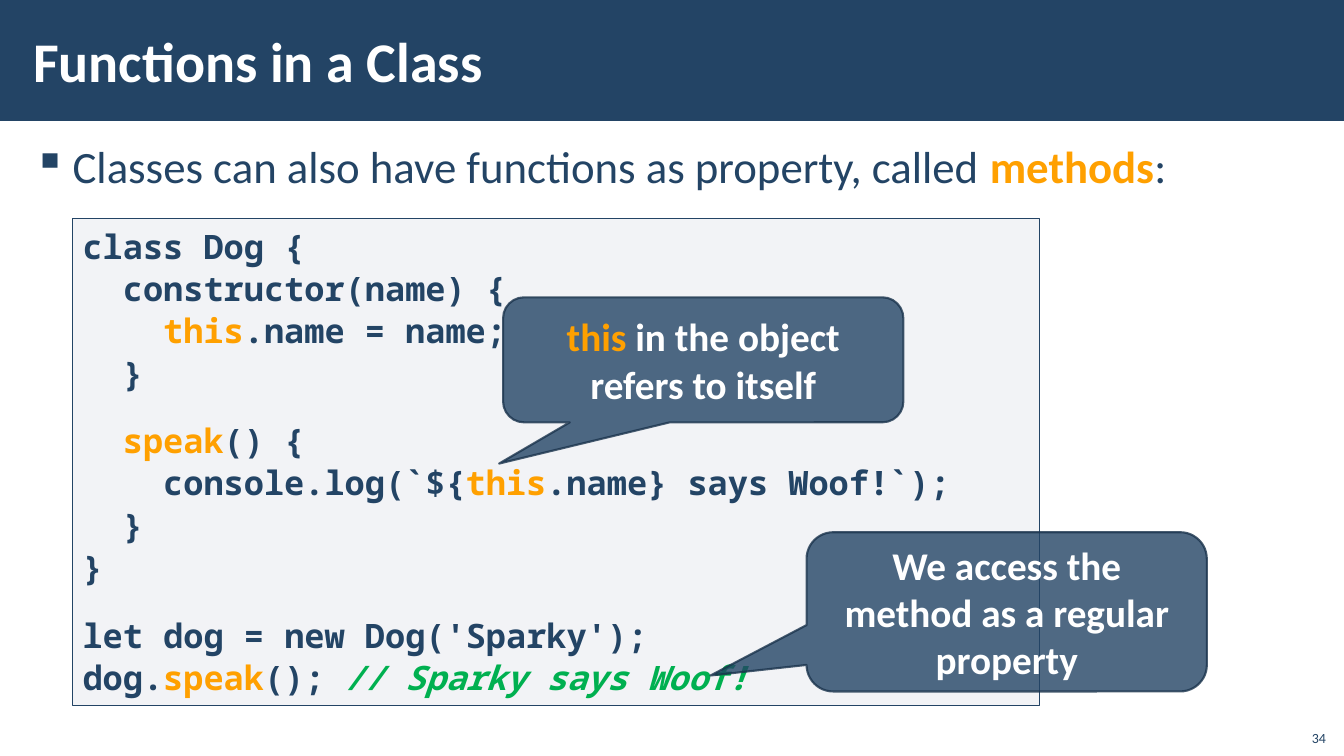
from lxml.etree import SubElement
from pptx import Presentation
from pptx.dml.color import RGBColor
from pptx.enum.shapes import MSO_SHAPE
from pptx.enum.text import MSO_ANCHOR, PP_ALIGN
from pptx.oxml.ns import qn
from pptx.util import Inches, Pt

COLORS = {
    "navy": "234465",
    "edge": "1A334C",
    "orange": "FFA000",
    "green": "00B050",
    "code": "ADB4C3",
    "white": "FFFFFF",
}
BODY_FONT, CODE_FONT = "Calibri", "Noto Sans Mono"
INDENT_STEP = 0.4  # two monospaced characters at 24 pt

# Code lines: indent level, space before, (text, color) runs
CODE = [
    (0, 0, [("class Dog {", "navy")]),
    (1, 0, [("constructor(name) {", "navy")]),
    (2, 0, [("this", "orange"), (".name = name;", "navy")]),
    (1, 0, [("}", "navy")]),
    (1, 18, [("speak", "orange"), ("() {", "navy")]),
    (2, 0, [("console.log(`${", "navy"), ("this", "orange"),
            (".name} says Woof!`);", "navy")]),
    (1, 0, [("}", "navy")]),
    (0, 0, [("}", "navy")]),
    (0, 18, [("let dog = new Dog('Sparky');", "navy")]),
    (0, 0, [("dog.", "navy"), ("speak", "orange"), ("(); ", "navy"),
            ("// Sparky says Woof!", "green")]),
]


def rgb(color):
    return RGBColor.from_string(COLORS[color])


def set_alpha(color_format, percent):
    color = color_format._xFill.find(qn("a:srgbClr"))
    SubElement(color, qn("a:alpha"), val=str(percent * 1000))


def add_run(paragraph, text, color, size, font=BODY_FONT, bold=True, italic=False):
    run = paragraph.add_run()
    run.text = text
    run.font.name = font
    run.font.size = Pt(size)
    run.font.bold = bold
    run.font.italic = italic
    run.font.color.rgb = rgb(color)


def add_panel(slide, preset, box, fill, opacity=100, line=None, width=1, line_opacity=100):
    panel = slide.shapes.add_shape(preset, *map(Inches, box))
    panel.shadow.inherit = False
    panel.fill.solid()
    panel.fill.fore_color.rgb = rgb(fill)
    if opacity < 100:
        set_alpha(panel.fill.fore_color, opacity)
    if line:
        panel.line.color.rgb = rgb(line)
        panel.line.width = Pt(width)
        if line_opacity < 100:
            set_alpha(panel.line.color, line_opacity)
    else:
        panel.line.fill.background()
    panel.text_frame.word_wrap = True
    return panel


def add_label(slide, box, anchor, side_inset=0.12):
    frame = slide.shapes.add_textbox(*map(Inches, box)).text_frame
    frame.word_wrap = True
    frame.vertical_anchor = anchor
    frame.margin_left = frame.margin_right = Inches(side_inset)
    frame.margin_top = frame.margin_bottom = Inches(0.04)
    return frame.paragraphs[0]


def add_bullet(slide, box, runs):
    bullet = add_label(slide, box, MSO_ANCHOR.TOP)
    bullet.line_spacing = 1.05
    bullet.space_before = bullet.space_after = Pt(6)
    properties = bullet._p.get_or_add_pPr()
    properties.set("marL", str(Inches(0.39)))
    properties.set("indent", str(Inches(-0.39)))
    SubElement(properties, qn("a:buChar"), char="▪")
    for text, color, bold in runs:
        add_run(bullet, text, color, 32, bold=bold)


def add_code(slide, box):
    panel = add_panel(slide, MSO_SHAPE.RECTANGLE, box, "code", 15, "navy")
    frame = panel.text_frame
    frame.vertical_anchor = MSO_ANCHOR.TOP
    for number, (level, gap, runs) in enumerate(CODE):
        line = frame.add_paragraph() if number else frame.paragraphs[0]
        line.alignment = PP_ALIGN.LEFT
        line.line_spacing = 1.05
        line.space_before = Pt(gap)
        line._p.get_or_add_pPr().set("marL", str(Inches(level * INDENT_STEP)))
        for text, color in runs:
            add_run(line, text, color, 24, CODE_FONT, italic=color == "green")


def add_callout(slide, box, pointer, runs):
    callout = add_panel(slide, MSO_SHAPE.ROUNDED_RECTANGULAR_CALLOUT, box,
                        "navy", 80, "edge", 1.5, 80)
    for index, value in enumerate((*pointer, 0.167)):
        callout.adjustments[index] = value
    callout.text_frame.vertical_anchor = MSO_ANCHOR.MIDDLE
    message = callout.text_frame.paragraphs[0]
    message.alignment = PP_ALIGN.CENTER
    for text, color in runs:
        add_run(message, text, color, 28)


def main():
    deck = Presentation()
    deck.slide_width, deck.slide_height = Inches(13.33), Inches(7.5)
    slide = deck.slides.add_slide(deck.slide_layouts[6])

    # Title band and page number
    add_panel(slide, MSO_SHAPE.RECTANGLE, (0, 0, 13.33, 1.2), "navy")
    title = add_label(slide, (0.21, 0.11, 10.63, 0.97), MSO_ANCHOR.MIDDLE)
    add_run(title, "Functions in a Class", "white", 40)
    page_number = add_label(slide, (12.85, 7.12, 0.4, 0.32), MSO_ANCHOR.BOTTOM, 0.1)
    page_number.alignment = PP_ALIGN.RIGHT
    add_run(page_number, "34", "navy", 10, bold=False)

    # Statement and code sample
    add_bullet(slide, (0.21, 1.31, 12.92, 0.8), [
        ("Classes can also have functions as property, called ", "navy", False),
        ("methods", "orange", True),
        (":", "navy", False),
    ])
    add_code(slide, (0.72, 2.17, 9.59, 4.83))

    # Explanations
    add_callout(slide, (8, 5.28, 3.97, 1.58), (-0.74, 0.4),
                [("We access the method as a regular property", "white")])
    add_callout(slide, (4.99, 2.95, 3.97, 1.24), (-0.51, 0.83),
                [("this", "orange"), (" in the object refers to itself", "white")])

    deck.save("out.pptx")


if __name__ == "__main__":
    main()
